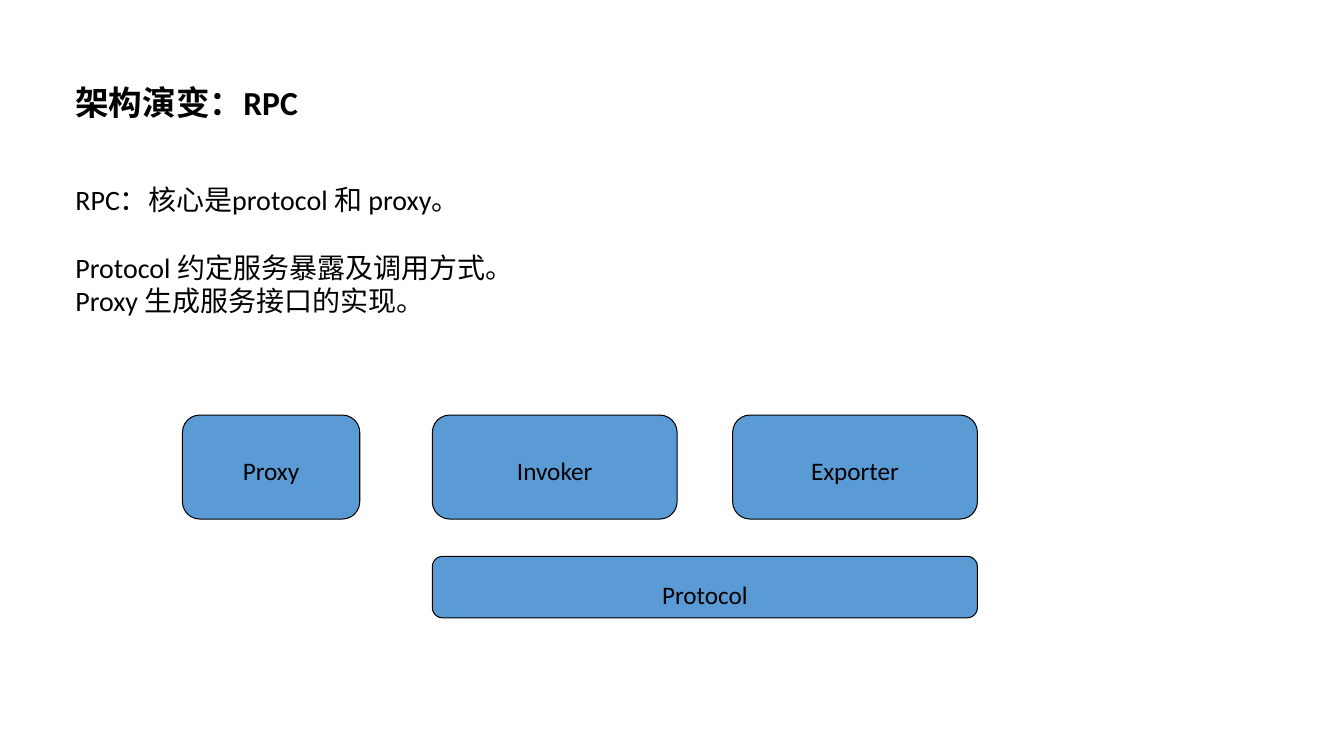
from pptx import Presentation
from pptx import util as u
from pptx.dml import color
from pptx.enum import shapes, text

COLOURS = {"ink": "000000", "block": "5B9BD5"}
FONT = "Calibri"
LEFT, WIDTH = 1.65, 29.24
ROW_TOP, ROW_HEIGHT = 10.46, 2.62
INVOKER_LEFT, EXPORTER_LEFT, ROLE_WIDTH = 10.9, 18.47, 6.17


def rgb(name):
    return color.RGBColor.from_string(COLOURS[name])


def style_para(para, size, bold=False):
    for span in para.runs:
        span.font.name = FONT
        span.font.size = u.Pt(size)
        span.font.bold = bold
        span.font.color.rgb = rgb("ink")


def add_text(page, top, height, lines, size, bold=False):
    box = page.shapes.add_textbox(u.Cm(LEFT), u.Cm(top), u.Cm(WIDTH), u.Cm(height))
    frame = box.text_frame
    frame.word_wrap = True
    frame.text = "\n".join(lines)
    for para in frame.paragraphs:
        style_para(para, size, bold)
    return box


def add_block(page, label, left, top, width, height, line_spacing):
    block = page.shapes.add_shape(
        shapes.MSO_SHAPE.ROUNDED_RECTANGLE,
        u.Cm(left), u.Cm(top), u.Cm(width), u.Cm(height))
    block.shadow.inherit = False
    block.fill.solid()
    block.fill.fore_color.rgb = rgb("block")
    block.line.color.rgb = rgb("ink")
    block.line.width = u.Pt(0.75)
    frame = block.text_frame
    frame.text = label
    frame.vertical_anchor = text.MSO_ANCHOR.TOP
    para = frame.paragraphs[0]
    para.alignment = text.PP_ALIGN.CENTER
    para.line_spacing = line_spacing
    style_para(para, 18)


def main():
    """Build the RPC architecture slide."""
    deck = Presentation()
    deck.slide_width, deck.slide_height = u.Cm(33.88), u.Cm(19.05)
    page = deck.slides.add_slide(deck.slide_layouts[6])

    add_text(page, 1.93, 1.27, ["架构演变：RPC"], 24, bold=True)
    summary = add_text(page, 4.47, 3.66, [
        "RPC：核心是protocol 和 proxy。",
        "Protocol 约定服务暴露及调用方式。",
        "Proxy 生成服务接口的实现。",
    ], 20)
    summary.text_frame.paragraphs[1].space_before = u.Pt(24.4)

    span_width = EXPORTER_LEFT + ROLE_WIDTH - INVOKER_LEFT
    add_block(page, "Protocol", INVOKER_LEFT, 14.02, span_width, 1.55, 1.5)
    for label, left, width in [
        ("Invoker", INVOKER_LEFT, ROLE_WIDTH),
        ("Exporter", EXPORTER_LEFT, ROLE_WIDTH),
        ("Proxy", 4.6, 4.47),
    ]:
        add_block(page, label, left, ROW_TOP, width, ROW_HEIGHT, 2.0)

    deck.save("out.pptx")


if __name__ == "__main__":
    main()
